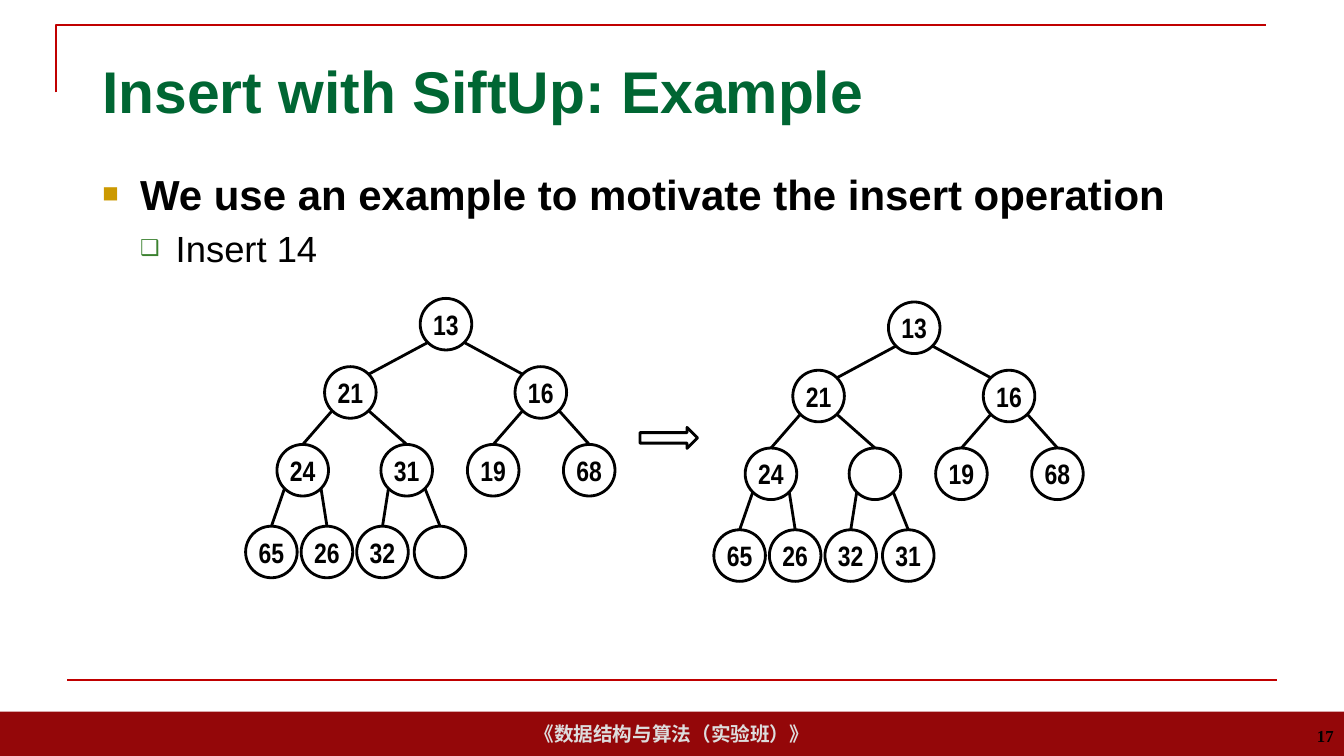
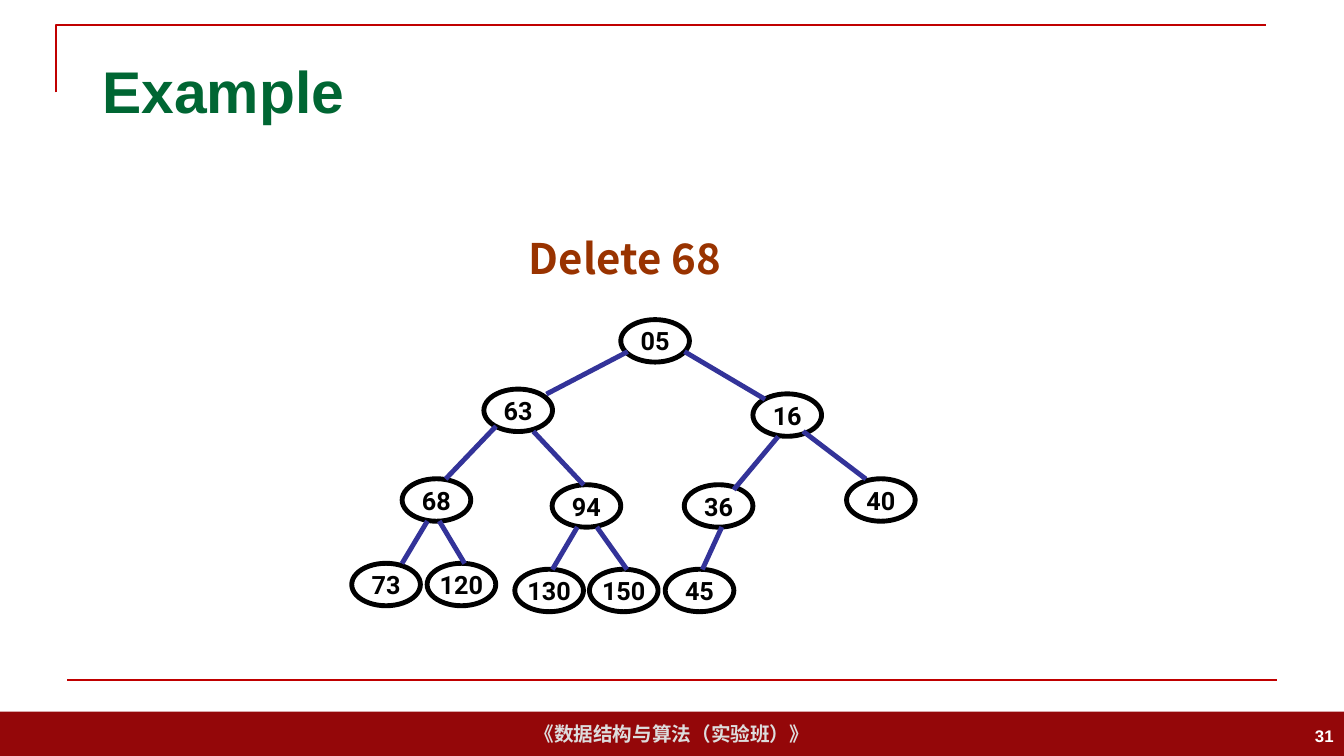
"""Build two slides on inserting into and deleting from a binary heap."""
from lxml import etree
from pptx import Presentation
from pptx import util as u
from pptx.dml.color import RGBColor
from pptx.enum import shapes, text
from pptx.oxml import parse_xml
from pptx.oxml.ns import nsdecls, qn

HUES = {"band": "940709", "rule": "C00000", "foot": "DDDDDD", "title": "006633",
        "black": "000000", "white": "FFFFFF", "gold": "CC9900", "leaf": "3B812F",
        "edge": "333399", "rust": "993300"}
Cm = u.Cm
RGB = {name: RGBColor.from_string(code) for name, code in HUES.items()}
KIND = shapes.MSO_SHAPE
SIDE = text.PP_ALIGN
MID = text.MSO_ANCHOR.MIDDLE


def write(shape, words, size, hue, font="Arial", side=SIDE.CENTER, wrap=True, anchor=MID):
    frame = shape.text_frame
    frame.text = words
    frame.word_wrap = wrap
    frame.vertical_anchor = anchor
    for para in frame.paragraphs:
        para.alignment = side
        for run in para.runs:
            run.font.size = u.Pt(size)
            run.font.name = font
            run.font.bold = True
            run.font.color.rgb = RGB[hue]


def link(slide, ends, hue, width):
    line = slide.shapes.add_connector(shapes.MSO_CONNECTOR.STRAIGHT, *map(Cm, ends))
    line.line.color.rgb = RGB[hue]
    line.line.width = u.Pt(width)
    etree.SubElement(line._element.spPr, qn("a:effectLst"))
    return line


deck = Presentation()
deck.slide_width, deck.slide_height = Cm(33.87), Cm(19.05)

pages = []
for title, number, font, hue in [
    ("Insert with SiftUp: Example", "17", "Times New Roman", "black"),
    ("Example", "31", "Arial", "white"),
]:
    page = deck.slides.add_slide(deck.slide_layouts[6])
    pages.append(page)

    band = page.shapes.add_shape(KIND.RECTANGLE, 0, Cm(17.93), deck.slide_width, Cm(1.12))
    band.shadow.inherit = False
    band.fill.solid()
    band.fill.fore_color.rgb = RGB["band"]
    band.line.fill.background()
    write(band, "《数据结构与算法（实验班）》", 14, "foot", wrap=False)

    pen = page.shapes.build_freeform(Cm(1.42), Cm(2.33))
    pen.add_line_segments([(Cm(1.42), Cm(0.63)), (Cm(31.9), Cm(0.63))], close=False)
    frame = pen.convert_to_shape()
    frame.shadow.inherit = False
    frame.fill.background()
    frame.line.color.rgb = RGB["rule"]
    frame.line.width = u.Pt(1.5)
    link(page, (1.7, 17.14, 32.18, 17.14), "rule", 1.5)

    head = page.shapes.add_textbox(Cm(2.33), Cm(1.02), Cm(29.2), Cm(2.5))
    write(head, title, 42, "title", side=SIDE.LEFT)
    count = page.shapes.add_textbox(Cm(26.24), Cm(18.03), Cm(7.62), Cm(1.02))
    write(count, number, 12, hue, font, SIDE.RIGHT)

sift, drop = pages

body = sift.shapes.add_textbox(Cm(2.33), Cm(4.11), Cm(29.2), Cm(3))
write(body, "We use an example to motivate the insert operation\nInsert 14", 30, "black",
      side=SIDE.LEFT, anchor=text.MSO_ANCHOR.TOP)
marks = [("■", "gold", 65, 0.95, 0.95), ("❑", "leaf", 60, 1.85, 0.9)]
for para, (mark, hue, scale, left, hang) in zip(body.text_frame.paragraphs, marks):
    props = para._p.get_or_add_pPr()
    props.set("marL", str(Cm(left)))
    props.set("indent", str(-Cm(hang)))
    for part in (
        '<a:spcBef {}><a:spcPct val="20000"/></a:spcBef>',
        '<a:buClr {}><a:srgbClr val="' + HUES[hue] + '"/></a:buClr>',
        '<a:buSzPct {} val="' + str(scale * 1000) + '"/>',
        '<a:buFont {} typeface="Arial"/>',
        '<a:buChar {} char="' + mark + '"/>',
    ):
        props.append(parse_xml(part.format(nsdecls("a"))))
child = body.text_frame.paragraphs[1].runs[0].font
child.size, child.bold = u.Pt(26), False

SIZE, BEND = 1.3, 0.46
spots = [(11.24, 8.17), (8.83, 9.89), (13.63, 9.89),
         (7.63, 11.85), (10.25, 11.85), (12.43, 11.85), (14.85, 11.85),
         (6.84, 13.91), (8.24, 13.91), (9.64, 13.91), (11.09, 13.91)]
heaps = [(0, 0, ["13", "21", "16", "24", "31", "19", "68", "65", "26", "32", ""]),
         (11.8, 0.09, ["13", "21", "16", "24", "", "19", "68", "65", "26", "32", "31"])]
for right, down, keys in heaps:
    nodes = []
    for key, (x, y) in zip(keys, spots):
        node = sift.shapes.add_shape(KIND.OVAL, Cm(x + right - SIZE / 2),
                                     Cm(y + down - SIZE / 2), Cm(SIZE), Cm(SIZE))
        node.shadow.inherit = False
        node.fill.background()
        node.line.color.rgb = RGB["black"]
        node.line.width = u.Pt(2)
        write(node, key, 20, "black", "Arial Narrow", wrap=False)
        nodes.append(node)
    for i in range(1, len(spots)):
        px, py = spots[(i - 1) // 2]
        x, y = spots[i]
        turn = -BEND if i % 2 else BEND
        near = i < 3
        tip = (x - turn, y - BEND) if near else (x, y - SIZE / 2)
        edge = link(sift, (px + turn + right, py + BEND + down,
                           tip[0] + right, tip[1] + down), "black", 2)
        if not near:
            edge.end_connect(nodes[i], 0)

arrow = sift.shapes.add_shape(KIND.RIGHT_ARROW, Cm(16.13), Cm(10.77), Cm(1.45), Cm(0.53))
arrow.shadow.inherit = False
arrow.fill.background()
arrow.line.color.rgb = RGB["black"]
arrow.line.width = u.Pt(2)

WIDE, HIGH = 1.73, 1.07
tree = [("05", 16.51, 8.59, None),
        ("63", 13.06, 10.34, (15.82, 8.86, 13.77, 9.93)),
        ("16", 19.84, 10.46, (17.25, 8.86, 19.28, 10.06)),
        ("68", 11, 12.6, (12.5, 10.74, 11.23, 12.07)),
        ("94", 14.78, 12.75, (13.44, 10.87, 14.71, 12.22)),
        ("36", 18.11, 12.75, (19.61, 11, 18.49, 12.34)),
        ("40", 22.2, 12.6, (20.24, 10.87, 21.82, 12.07)),
        ("73", 9.73, 14.73, (10.77, 13.13, 10.13, 14.2)),
        ("120", 11.63, 14.73, (11.07, 13.13, 11.71, 14.2)),
        ("130", 13.84, 14.88, (14.55, 13.28, 13.92, 14.35)),
        ("150", 15.72, 14.88, (15.04, 13.28, 15.8, 14.35)),
        ("45", 17.63, 14.88, (18.19, 13.28, 17.7, 14.35))]
for key, x, y, ends in tree:
    node = drop.shapes.add_shape(KIND.OVAL, Cm(x - WIDE / 2), Cm(y - HIGH / 2),
                                 Cm(WIDE), Cm(HIGH))
    node.shadow.inherit = False
    node.fill.solid()
    node.fill.fore_color.rgb = RGB["white"]
    node.line.color.rgb = RGB["black"]
    node.line.width = u.Pt(3.5)
    write(node, key, 18, "black", "Roboto", wrap=False)
for key, x, y, ends in tree[1:]:
    link(drop, ends, "edge", 3.5)

task = drop.shapes.add_textbox(Cm(9.3), Cm(5.77), Cm(12.9), Cm(1.5))
write(task, "Delete 68", 30, "rust", "Noto Sans CJK SC", anchor=text.MSO_ANCHOR.TOP)
task.text_frame.margin_top = task.text_frame.margin_bottom = Cm(0.1)

deck.save("out.pptx")
